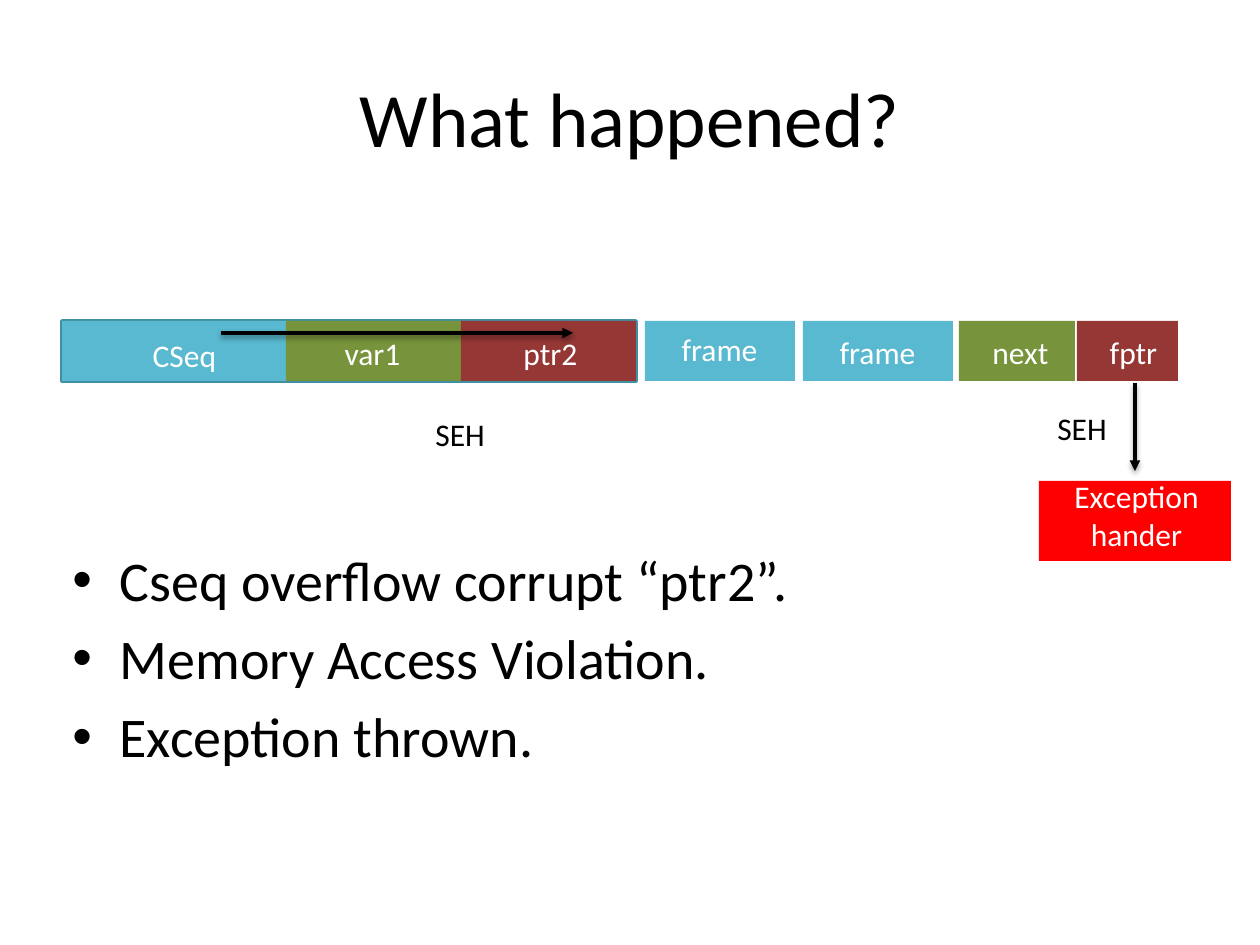
from lxml import etree
from pptx import Presentation, util as u
from pptx.dml.color import RGBColor
from pptx.enum import shapes as sh, text as tx
from pptx.oxml import ns

SCALE = 914400 // 126
WHITE, BLACK = "FFFFFF", "000000"
CYAN, GREEN, MAROON, RED, TEAL = "59B9D0", "77933C", "953735", "FF0000", "418FA2"
ROW, TALL = 321, 60


def px(*vals):
    """Turn picture pixels into EMU."""
    return [u.Emu(v * SCALE) for v in vals]


def color(code):
    """Make a colour from a hex string."""
    return RGBColor.from_string(code)


def sub(node, tag, **attrs):
    """Append a drawing element with attributes."""
    return etree.SubElement(node, ns.qn(tag), attrs)


def block(slide, box, fill=None, line=None):
    """Draw a plain filled or outlined rectangle."""
    rect = slide.shapes.add_shape(sh.MSO_SHAPE.RECTANGLE, *px(*box))
    rect.shadow.inherit = False
    if fill:
        rect.fill.solid()
        rect.fill.fore_color.rgb = color(fill)
    else:
        rect.fill.background()
    if line:
        rect.line.color.rgb = color(line)
        rect.line.width = u.Pt(2)
    else:
        rect.line.fill.background()


def label(slide, box, lines, size=18, ink=WHITE, align="CENTER", wrap=True, bullet=False):
    """Add a text box with one paragraph per line."""
    frame = slide.shapes.add_textbox(*px(*box)).text_frame
    frame.word_wrap = wrap
    if size == 44:
        frame.vertical_anchor = tx.MSO_ANCHOR.MIDDLE
    for i, line in enumerate(lines):
        para = frame.add_paragraph() if i else frame.paragraphs[0]
        para.alignment = tx.PP_ALIGN[align]
        run = para.add_run()
        run.text = line
        run.font.size = u.Pt(size)
        run.font.name = "Calibri"
        run.font.color.rgb = color(ink)
        if bullet:
            para.space_after = u.Pt(6.4)
            props = para._p.get_or_add_pPr()
            props.set("marL", "342900")
            props.set("indent", "-342900")
            sub(props, "a:buFont", typeface="Arial")
            sub(props, "a:buChar", char="•")


def arrow(slide, *ends):
    """Draw a black arrow with a soft shadow."""
    link = slide.shapes.add_connector(sh.MSO_CONNECTOR.STRAIGHT, *px(*ends))
    link.line.color.rgb = color(BLACK)
    link.line.width = u.Pt(2)
    sub(link.line._get_or_add_ln(), "a:tailEnd", type="triangle")
    glow = sub(sub(link._element.spPr, "a:effectLst"), "a:outerShdw",
               blurRad="40000", dist="20000", dir="5400000", rotWithShape="0")
    sub(sub(glow, "a:srgbClr", val=BLACK), "a:alpha", val="38000")


def memory(slide):
    """Draw the row of stack cells and their names."""
    cells = [(62, 224, CYAN), (286, 175, GREEN), (461, 175, MAROON), (645, 150, CYAN),
             (803, 150, CYAN), (959, 116, GREEN), (1077, 101, MAROON)]
    block(slide, (62, ROW, 574, TALL), line=TEAL)
    for left, wide, fill in cells:
        block(slide, (left, ROW, wide, TALL), fill)
    names = [("CSeq", 123, 330), ("var1", 311, 328), ("ptr2", 489, 328), ("frame", 658, 324),
             ("frame", 816, 327), ("next", 959, 327), ("fptr", 1072, 327)]
    for name, left, top in names:
        label(slide, (left, top, 123, 51), [name])


def main():
    """Build and save the slide."""
    deck = Presentation()
    deck.slide_width, deck.slide_height = px(1260, 945)
    slide = deck.slides.add_slide(deck.slide_layouts[6])
    label(slide, (63, 38, 1134, 157), ["What happened?"], 44, BLACK)
    memory(slide)
    for left, top in ((1045, 403), (423, 409)):
        label(slide, (left, top, 76, 51), ["SEH"], ink=BLACK, align="LEFT", wrap=False)
    block(slide, (1039, 481, 192, 80), RED)
    label(slide, (1051, 471, 171, 89), ["Exception hander"])
    arrow(slide, 1135, 383, 1135, 471)
    arrow(slide, 221, 333, 573, 333)
    facts = ["Cseq overflow corrupt “ptr2”.", "Memory Access Violation.", "Exception thrown."]
    label(slide, (60, 539, 1134, 305), facts, 32, BLACK, "LEFT", bullet=True)
    deck.save("out.pptx")


main()
